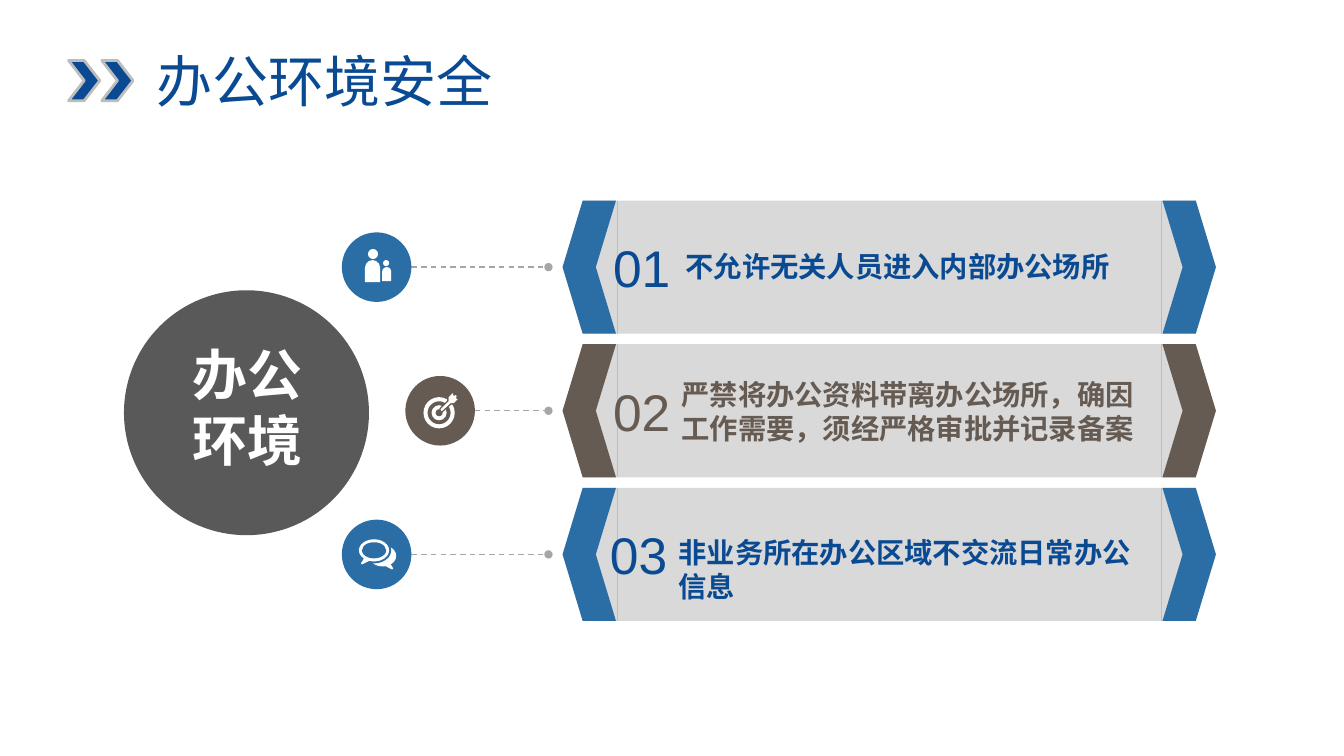
from dataclasses import dataclass
from typing import Any, NamedTuple

from lxml import etree
from pptx import Presentation
from pptx import util as u
from pptx.dml.color import RGBColor
from pptx.enum import dml, lang, shapes, text
from pptx.oxml import ns

Shape = shapes.MSO_SHAPE
Align = text.PP_ALIGN
Point = tuple[float, float]


@dataclass(frozen=True)
class Theme:
    font: str = "Arial"
    navy: str = "0A4A92"
    blue: str = "2B6EA5"
    brown: str = "665B52"
    dark: str = "595959"
    panel: str = "D9D9D9"
    line: str = "A6A6A6"
    edge: str = "BDBDBD"
    white: str = "FFFFFF"
    title_size: float = 40
    hub_size: float = 39.2
    number_size: float = 36.8
    body_size: float = 20.2


class Box(NamedTuple):
    left: float
    top: float
    width: float
    height: float


class Part(NamedTuple):
    kind: Shape
    box: Box
    color: str
    adjustment: float | None = None


class Outline(NamedTuple):
    points: list[Point]
    color: str
    border: float = 0


class Rule(NamedTuple):
    number: str
    wording: str
    color: str
    ink: str
    badge_left: float
    number_left: float
    wording_box: Box
    icon: list[Part | Outline]


THEME = Theme()
ROW_TOP, ROW_PITCH, ROW_HEIGHT = 1.99, 1.425, 1.32
PANEL_LEFT, PANEL_RIGHT = 5.58, 12.06
SLANT, BAND = 0.2, 0.33
BADGE = 0.69
DOT_X = 5.44

DART = [(4.37, 4.06), (4.45, 3.98), (4.45, 3.94), (4.49, 3.9), (4.5, 3.93),
        (4.52, 3.92), (4.53, 3.93), (4.52, 3.95), (4.54, 3.96), (4.5, 4.0),
        (4.47, 4.0), (4.38, 4.08)]
PEOPLE = [
    Part(Shape.OVAL, Box(3.65, 2.47, 0.1, 0.1), THEME.white),
    Part(Shape.ROUND_2_SAME_RECTANGLE, Box(3.62, 2.58, 0.15, 0.22), THEME.white, 0.5),
    Part(Shape.OVAL, Box(3.8, 2.58, 0.06, 0.06), THEME.white),
    Part(Shape.ROUND_2_SAME_RECTANGLE, Box(3.79, 2.65, 0.09, 0.14), THEME.white, 0.5),
]
TARGET = [
    Part(Shape.DONUT, Box(4.2, 3.94, 0.31, 0.31), THEME.white, 0.13),
    Part(Shape.DONUT, Box(4.28, 4.02, 0.15, 0.15), THEME.white, 0.26),
    Outline(DART, THEME.brown, 2),
    Outline(DART, THEME.white),
]
CHAT = [
    Part(Shape.OVAL, Box(3.66, 5.41, 0.27, 0.21), THEME.white),
    Outline([(3.87, 5.59), (3.9, 5.64), (3.89, 5.65), (3.81, 5.61)], THEME.white),
    Part(Shape.OVAL, Box(3.54, 5.33, 0.34, 0.26), THEME.blue),
    Part(Shape.OVAL, Box(3.56, 5.35, 0.3, 0.22), THEME.white),
    Outline([(3.61, 5.54), (3.58, 5.59), (3.59, 5.6), (3.67, 5.56)], THEME.white),
    Part(Shape.OVAL, Box(3.59, 5.38, 0.24, 0.16), THEME.blue),
]
RULES = [
    Rule("01", "不允许无关人员进入内部办公场所", THEME.blue, THEME.navy,
         3.39, 6.08, Box(6.8, 2.47, 4.69, 0.34), PEOPLE),
    Rule("02", "严禁将办公资料带离办公场所，确因工作需要，须经严格审批并记录备案",
         THEME.brown, THEME.brown, 4.02, 6.08, Box(6.76, 3.74, 4.66, 0.68), TARGET),
    Rule("03", "非业务所在办公区域不交流日常办公信息", THEME.blue, THEME.navy,
         3.39, 6.05, Box(6.73, 5.31, 4.6, 0.68), CHAT),
]


def apply(target: Any, values: dict[str, Any]) -> None:
    for name, value in values.items():
        setattr(target, name, value)


def place(shape: Any, box: Box) -> None:
    apply(shape, {name: u.Inches(value) for name, value in box._asdict().items()})


def paint(shape: Any, color: str, border: float = 0, border_color: str = "") -> None:
    shape.shadow.inherit = False
    shape.fill.solid()
    shape.fill.fore_color.rgb = RGBColor.from_string(color)
    if border:
        shape.line.width = u.Pt(border)
        shape.line.color.rgb = RGBColor.from_string(border_color or color)
    else:
        shape.line.fill.background()


def write(shape: Any, wording: str, size: float, color: str, align: Align,
          bold: bool = False, wrap: bool = True,
          anchor: text.MSO_ANCHOR = text.MSO_ANCHOR.TOP) -> None:
    margins = dict.fromkeys(
        ("margin_left", "margin_top", "margin_right", "margin_bottom"), u.Inches(0))
    frame = shape.text_frame
    apply(frame, {**margins, "word_wrap": wrap, "vertical_anchor": anchor})
    paragraph = frame.paragraphs[0]
    paragraph.alignment = align
    run = paragraph.add_run()
    run.text = wording
    apply(run.font, {"name": THEME.font, "size": u.Pt(size), "bold": bold,
                     "language_id": lang.MSO_LANGUAGE_ID.SIMPLIFIED_CHINESE})
    run.font.color.rgb = RGBColor.from_string(color)


def add_text(slide: Any, box: Box, *content: Any, **options: Any) -> None:
    shape = slide.shapes.add_textbox(*map(u.Inches, box))
    write(shape, *content, **options)


def add_part(slide: Any, part: Part, border: float = 0, border_color: str = "") -> None:
    shape = slide.shapes.add_shape(part.kind, *map(u.Inches, part.box))
    if part.adjustment is not None:
        shape.adjustments[0] = part.adjustment
    paint(shape, part.color, border, border_color)


def add_outline(slide: Any, outline: Outline) -> None:
    first, *rest = [(u.Inches(x), u.Inches(y)) for x, y in outline.points]
    builder = slide.shapes.build_freeform(*first)
    builder.add_line_segments(rest, close=True)
    paint(builder.convert_to_shape(), outline.color, outline.border)


def add_line(slide: Any, start: Point, end: Point, color: str, width: float) -> Any:
    connector = slide.shapes.add_connector(
        shapes.MSO_CONNECTOR.STRAIGHT, *map(u.Inches, (*start, *end)))
    connector.line.width = u.Pt(width)
    connector.line.color.rgb = RGBColor.from_string(color)
    etree.SubElement(connector._element.spPr, ns.qn("a:effectLst"))
    return connector


def add_leader(slide: Any, left: float, middle: float) -> None:
    connector = add_line(slide, (left, middle), (DOT_X, middle), THEME.line, 1)
    connector.line.dash_style = dml.MSO_LINE.DASH
    etree.SubElement(connector.line._get_or_add_ln(), ns.qn("a:tailEnd"), type="oval")


def add_panel(slide: Any, top: float, color: str) -> None:
    middle, bottom = top + ROW_HEIGHT / 2, top + ROW_HEIGHT
    left, right = PANEL_LEFT + SLANT, PANEL_RIGHT - SLANT
    add_outline(slide, Outline([(PANEL_LEFT, middle), (left, top), (right, top),
                                (PANEL_RIGHT, middle), (right, bottom), (left, bottom)],
                               THEME.panel))
    for tip, inward in ((PANEL_LEFT, 1), (PANEL_RIGHT, -1)):
        outer = tip + inward * SLANT
        inner = outer + inward * BAND
        add_outline(slide, Outline([(tip, middle), (outer, top), (inner, top),
                                    (tip + inward * BAND, middle), (inner, bottom),
                                    (outer, bottom)], color))
        seam = inner + inward * 0.01
        add_line(slide, (seam, top), (seam, bottom), THEME.edge, 0.25)


def add_rule(slide: Any, index: int, rule: Rule) -> None:
    top = ROW_TOP + index * ROW_PITCH
    middle = top + ROW_HEIGHT / 2
    add_leader(slide, rule.badge_left + BADGE, middle)
    badge = Box(rule.badge_left, middle - BADGE / 2, BADGE, BADGE)
    add_part(slide, Part(Shape.OVAL, badge, rule.color))
    for piece in rule.icon:
        (add_part if isinstance(piece, Part) else add_outline)(slide, piece)
    add_panel(slide, top, rule.color)
    add_text(slide, Box(rule.number_left, top + 0.35, 0.57, 0.62), rule.number,
             THEME.number_size, rule.ink, Align.CENTER, wrap=False)
    add_text(slide, rule.wording_box, rule.wording, THEME.body_size, rule.ink,
             Align.LEFT, bold=True)


presentation = Presentation()
apply(presentation, {"slide_width": u.Inches(13.33), "slide_height": u.Inches(7.5)})
slide = presentation.slides.add_slide(presentation.slide_layouts[5])
place(slide.shapes.title, Box(0.59, 0.3, 5.25, 0.98))
write(slide.shapes.title, "办公环境安全", THEME.title_size, THEME.navy, Align.CENTER,
      anchor=text.MSO_ANCHOR.MIDDLE)
for left in (0.68, 1.01):
    add_part(slide, Part(Shape.CHEVRON, Box(left, 0.6, 0.31, 0.4), THEME.navy),
             2, THEME.edge)
add_part(slide, Part(Shape.OVAL, Box(1.23, 2.88, 2.43, 2.43), THEME.dark))
add_text(slide, Box(1.79, 3.38, 1.33, 1.32), "办公环境", THEME.hub_size, THEME.white,
         Align.CENTER, bold=True)
for index, rule in enumerate(RULES):
    add_rule(slide, index, rule)
presentation.save("out.pptx")
